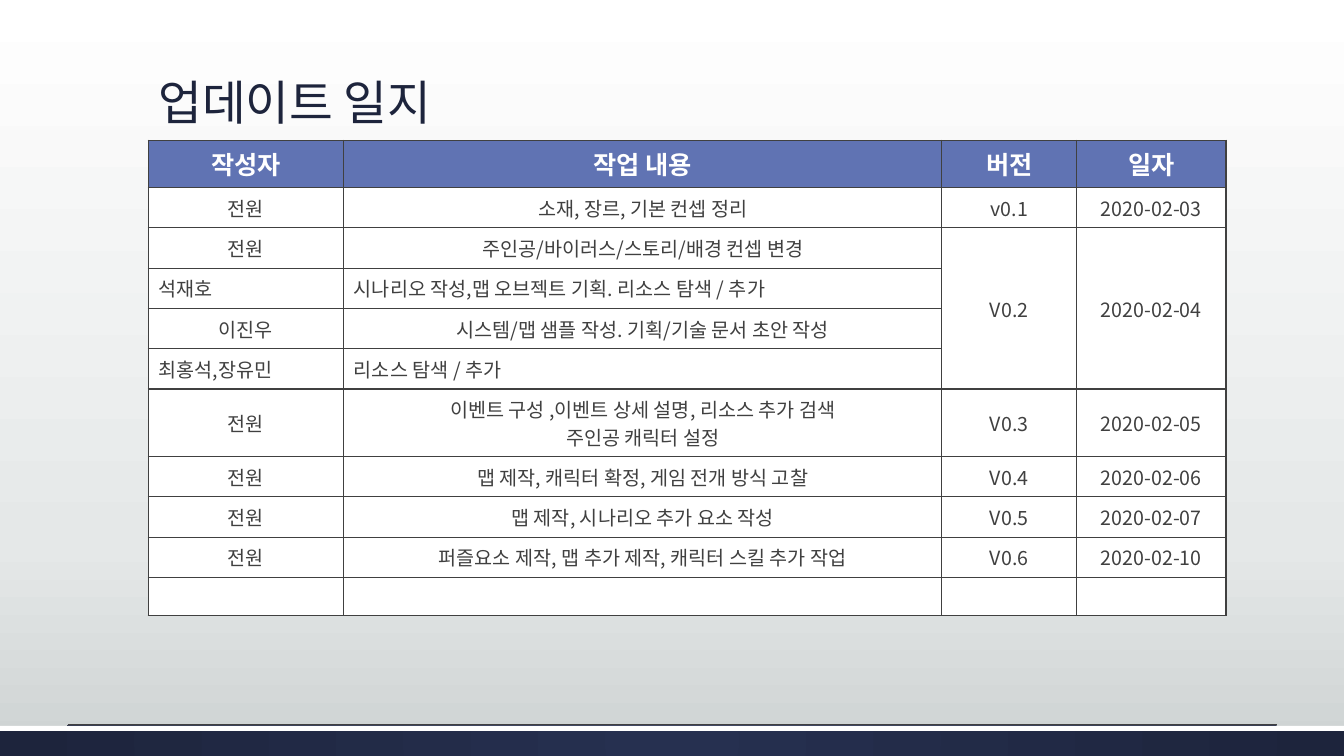
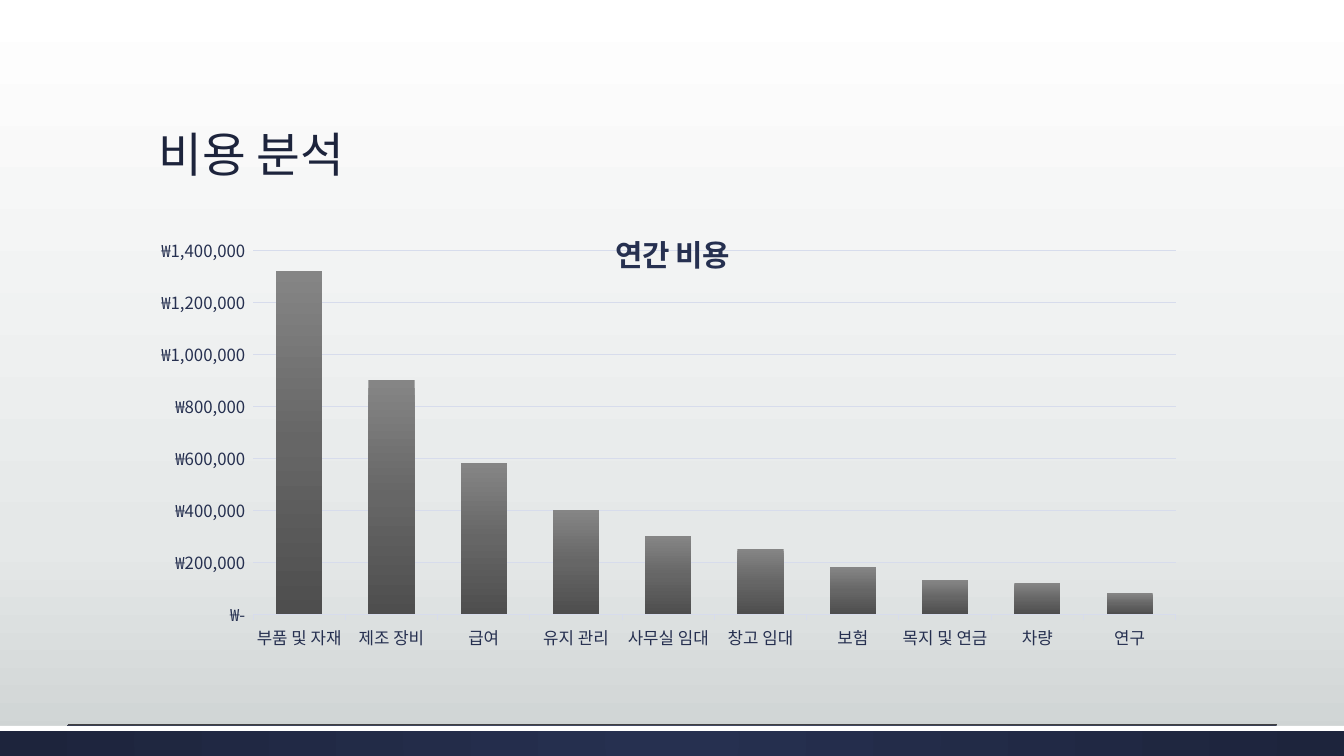
from lxml.etree import SubElement
from pptx import Presentation
from pptx.chart.data import CategoryChartData
from pptx.dml.color import RGBColor
from pptx.enum.chart import XL_CHART_TYPE, XL_TICK_LABEL_POSITION, XL_TICK_MARK
from pptx.enum.shapes import MSO_CONNECTOR, MSO_SHAPE
from pptx.enum.text import MSO_ANCHOR, MSO_AUTO_SIZE, PP_ALIGN
from pptx.oxml.ns import qn
from pptx.util import Inches, Pt

FONT = "Noto Sans CJK KR"
COLORS = {
    "navy": "1D243C",
    "indigo": "263050",
    "header": "6073B3",
    "text": "404040",
    "grid": "D7DCEC",
    "white": "FFFFFF",
}
RGB = {role: RGBColor.from_string(value) for role, value in COLORS.items()}
BACKDROP = [(0, "FFFFFF"), (72, "E5E8E8"), (100, "CDD2D2")]
BAND = [(0, COLORS["indigo"]), (100, COLORS["navy"])]
BARS = [(0, "858585"), (50, "666666"), (100, "4E4E4E")]


def style_font(font, size, color, bold=False):
    font.size = Pt(size)
    font.bold = bold
    font.color.rgb = RGB[color]
    font.name = FONT
    SubElement(font._element, qn("a:ea"), typeface=FONT)


def paint_gradient(fill, owner, stops, radial=False):
    fill.gradient()
    gradient = owner.find(".//" + qn("a:gradFill"))
    for child in list(gradient):
        gradient.remove(child)
    stop_list = SubElement(gradient, qn("a:gsLst"))
    for position, color in stops:
        stop = SubElement(stop_list, qn("a:gs"), pos=str(position * 1000))
        SubElement(stop, qn("a:srgbClr"), val=color)
    if radial:
        circle = SubElement(gradient, qn("a:path"), path="circle")
        SubElement(circle, qn("a:fillToRect"), l="50000", t="50000", r="50000", b="50000")
    else:
        SubElement(gradient, qn("a:lin"), ang="5400000", scaled="0")


prs = Presentation()
prs.slide_width = Inches(13.33)
prs.slide_height = Inches(7.5)
master = prs.slide_master
paint_gradient(master.background.fill, master.element, BACKDROP)

slides = []
for heading, top in [("업데이트 일지", 0), ("비용 분석", 0.51)]:
    slide = prs.slides.add_slide(prs.slide_layouts[5])
    slides.append(slide)

    band = slide.shapes.add_shape(MSO_SHAPE.RECTANGLE, 0, Inches(7.2), prs.slide_width, Inches(0.3))
    paint_gradient(band.fill, band.element, BAND, radial=True)
    stripe = slide.shapes.add_shape(MSO_SHAPE.RECTANGLE, 0, Inches(7.2), prs.slide_width, Inches(0.05))
    stripe.fill.solid()
    stripe.fill.fore_color.rgb = RGB["white"]
    for bar in (band, stripe):
        bar.line.fill.background()
        bar.shadow.inherit = False

    rule = slide.shapes.add_connector(
        MSO_CONNECTOR.STRAIGHT, Inches(0.67), Inches(7.19), Inches(12.67), Inches(7.19))
    rule.line.color.rgb = RGB["text"]
    rule.line.width = Pt(0.75)
    SubElement(rule.element.spPr, qn("a:effectLst"))

    title = slide.shapes.title
    title.left, title.top = Inches(1.47), Inches(top)
    title.width, title.height = Inches(10.4), Inches(1.35)
    title.text_frame.text = heading
    title.text_frame.auto_size = MSO_AUTO_SIZE.NONE
    title.text_frame.vertical_anchor = MSO_ANCHOR.BOTTOM
    paragraph = title.text_frame.paragraphs[0]
    paragraph.alignment = PP_ALIGN.LEFT
    paragraph.line_spacing = 0.9
    style_font(paragraph.runs[0].font, 34, "navy")

log_slide, cost_slide = slides

updates = [
    ("작성자", "작업 내용", "버전", "일자"),
    ("전원", "소재, 장르, 기본 컨셉 정리", "v0.1", "2020-02-03"),
    ("전원", "주인공/바이러스/스토리/배경 컨셉 변경", "V0.2", "2020-02-04"),
    ("석재호", "시나리오 작성,맵 오브젝트 기획. 리소스 탐색 / 추가", "", ""),
    ("이진우", "시스템/맵 샘플 작성. 기획/기술 문서 초안 작성", "", ""),
    ("최홍석,장유민", "리소스 탐색 / 추가", "", ""),
    ("전원", "이벤트 구성 ,이벤트 상세 설명, 리소스 추가 검색\n주인공 캐릭터 설정", "V0.3", "2020-02-05"),
    ("전원", "맵 제작, 캐릭터 확정, 게임 전개 방식 고찰", "V0.4", "2020-02-06"),
    ("전원", "맵 제작, 시나리오 추가 요소 작성", "V0.5", "2020-02-07"),
    ("전원", "퍼즐요소 제작, 맵 추가 제작, 캐릭터 스킬 추가 작업", "V0.6", "2020-02-10"),
    ("", "", "", ""),
]
column_widths = [1.94, 5.93, 1.34, 1.48]
row_heights = [0.47] + [0.4] * 5 + [0.67] + [0.4] * 3 + [0.38]
left_aligned_rows = (3, 5)

log = log_slide.shapes.add_table(
    len(updates), len(column_widths), Inches(1.47), Inches(1.39),
    Inches(sum(column_widths)), Inches(sum(row_heights))).table
for column, width in zip(log.columns, column_widths):
    column.width = Inches(width)
for row, height in zip(log.rows, row_heights):
    row.height = Inches(height)

for row_index, entries in enumerate(updates):
    is_header = row_index == 0
    for column_index, entry in enumerate(entries):
        cell = log.cell(row_index, column_index)
        cell.text_frame.text = entry
        cell.vertical_anchor = MSO_ANCHOR.MIDDLE
        cell.fill.solid()
        cell.fill.fore_color.rgb = RGB["header" if is_header else "white"]
        for paragraph in cell.text_frame.paragraphs:
            paragraph.alignment = PP_ALIGN.LEFT if row_index in left_aligned_rows else PP_ALIGN.CENTER
            for run in paragraph.runs:
                style_font(run.font, 18 if is_header else 14, "white" if is_header else "text", is_header)
            if not entry:
                SubElement(paragraph._p, qn("a:endParaRPr"), sz="1400")
        properties = cell._tc.get_or_add_tcPr()
        for position, side in enumerate(("a:lnL", "a:lnR", "a:lnT", "a:lnB")):
            border = SubElement(properties, qn(side), w=str(Pt(1)))
            border_fill = SubElement(border, qn("a:solidFill"))
            SubElement(border_fill, qn("a:srgbClr"), val=COLORS["text"])
            properties.insert(position, border)

for column_index in (2, 3):
    log.cell(2, column_index).merge(log.cell(5, column_index))

costs = {
    "부품 및 자재": 1320000,
    "제조 장비": 900000,
    "급여": 580000,
    "유지 관리": 400000,
    "사무실 임대": 300000,
    "창고 임대": 250000,
    "보험": 180000,
    "목지 및 연금": 130000,
    "차량": 120000,
    "연구": 80000,
}
cost_data = CategoryChartData()
cost_data.categories = list(costs)
cost_data.add_series("연간 비용", list(costs.values()))
chart = cost_slide.shapes.add_chart(
    XL_CHART_TYPE.COLUMN_CLUSTERED, Inches(1.47), Inches(2.08),
    Inches(10.4), Inches(4.51), cost_data).chart
style_font(chart.font, 10, "text")
chart.has_legend = False
chart.has_title = True
chart.chart_title.text_frame.text = "연간 비용"
style_font(chart.chart_title.text_frame.paragraphs[0].runs[0].font, 21.3, "indigo", True)

plot = chart.plots[0]
plot.vary_by_categories = False
plot.gap_width = 100
plot.overlap = -24
series = plot.series[0]
paint_gradient(series.format.fill, series._element, BARS)

categories = chart.category_axis
categories.tick_label_position = XL_TICK_LABEL_POSITION.LOW
categories.major_tick_mark = XL_TICK_MARK.OUTSIDE
categories.format.line.color.rgb = RGB["grid"]
categories.format.line.width = Pt(0.75)

amounts = chart.value_axis
amounts.minimum_scale = 0
amounts.maximum_scale = 1400000
amounts.major_unit = 200000
amounts.major_tick_mark = XL_TICK_MARK.NONE
amounts.format.line.fill.background()
amounts.major_gridlines.format.line.color.rgb = RGB["grid"]
amounts.major_gridlines.format.line.width = Pt(0.75)
amounts.tick_labels.number_format = (
    '_-[$₩-412]* #,##0_-;\\-[$₩-412]* #,##0_-;_-[$₩-412]* "-"_-;_-@_-')
amounts.tick_labels.number_format_is_linked = False
for axis in (categories, amounts):
    style_font(axis.tick_labels.font, 12, "indigo")

plot_area = chart._chartSpace.find(".//" + qn("c:plotArea"))
for automatic in plot_area.findall(qn("c:layout")):
    plot_area.remove(automatic)
layout = SubElement(plot_area, qn("c:layout"))
plot_area.insert(0, layout)
manual = SubElement(layout, qn("c:manualLayout"))
for tag, value in [
    ("layoutTarget", "inner"), ("xMode", "edge"), ("yMode", "edge"),
    ("x", "0.1"), ("y", "0.09"), ("w", "0.88"), ("h", "0.8"),
]:
    SubElement(manual, qn("c:" + tag), val=value)

prs.save("out.pptx")
